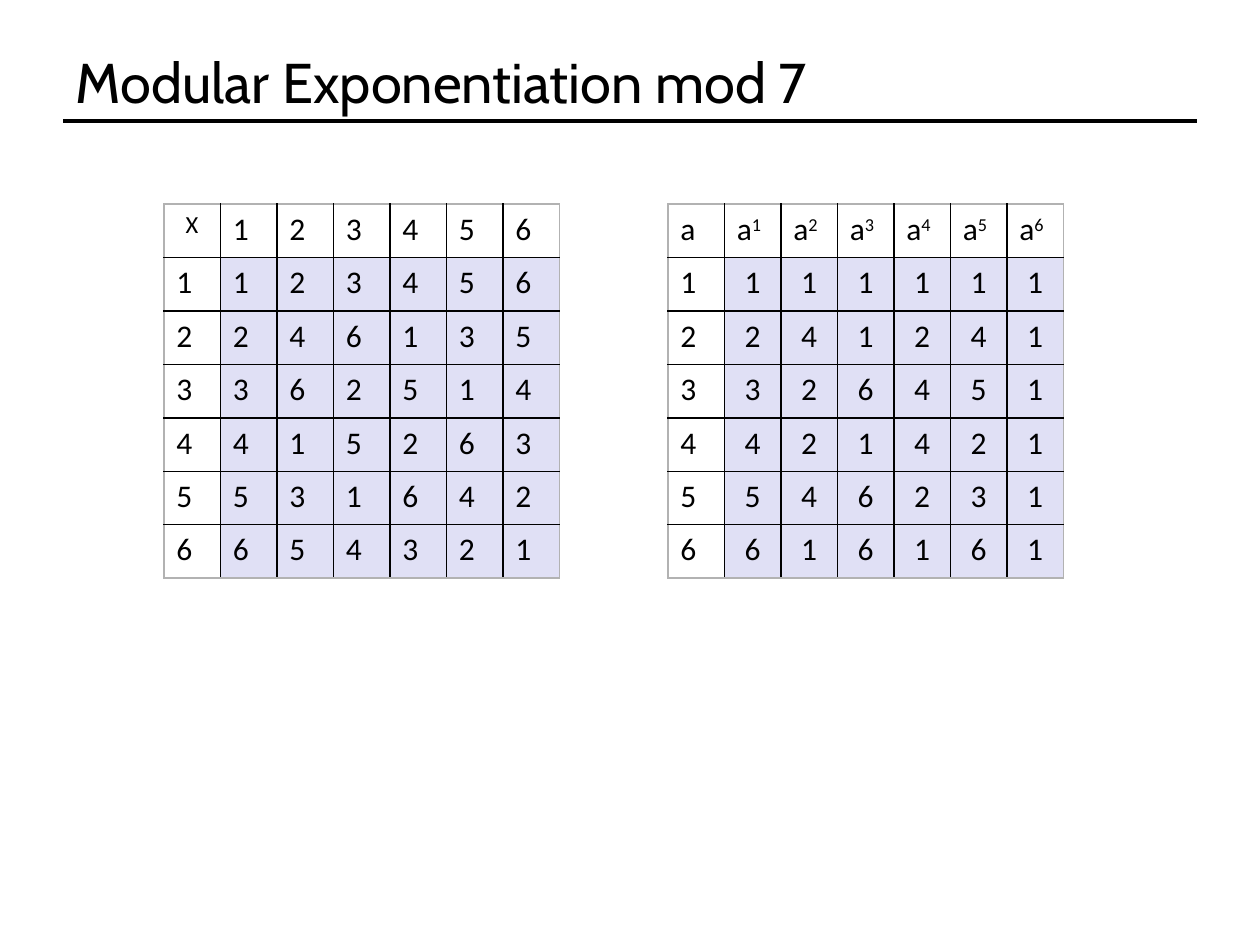
import pptx
import pptx.dml.color
import pptx.enum.shapes
import pptx.enum.text
import pptx.oxml.ns
import pptx.util
from lxml import etree

Inches = pptx.util.Inches
Pt = pptx.util.Pt
ALIGN = pptx.enum.text.PP_ALIGN
BLACK, GRAY, LILAC = "000000", "B2B2B2", "E0E0F5"
MOD = 7


def color(text):
    """Turn a hex string into a colour."""
    return pptx.dml.color.RGBColor.from_string(text)


def style(run, size, face):
    """Set the font of a run."""
    run.font.size = Pt(size)
    run.font.name = face
    run.font.color.rgb = color(BLACK)


def add_title(slide, text):
    """Fill and place the title."""
    title = slide.shapes.title
    title.left, title.top = Inches(0.5), Inches(0.3)
    title.width, title.height = Inches(9), Inches(0.66)
    frame = title.text_frame
    frame.text = text
    frame.vertical_anchor = pptx.enum.text.MSO_ANCHOR.BOTTOM
    frame.auto_size = pptx.enum.text.MSO_AUTO_SIZE.NONE
    frame.paragraphs[0].alignment = ALIGN.LEFT
    style(frame.paragraphs[0].runs[0], 32, "Cabin")


def add_rule(slide):
    """Draw the line under the title."""
    rule = slide.shapes.add_connector(
        pptx.enum.shapes.MSO_CONNECTOR.STRAIGHT,
        Inches(0.5), Inches(0.96), Inches(9.5), Inches(0.96))
    rule.line.color.rgb = color(BLACK)
    rule.line.width = Pt(2)
    etree.SubElement(rule._element.spPr, pptx.oxml.ns.qn("a:effectLst"))


def add_edges(cell, row, col):
    """Border a cell, gray on the outside of the table."""
    qn = pptx.oxml.ns.qn
    outer = {"L": col == 0, "R": col == MOD - 1,
             "T": row == 0, "B": row == MOD - 1}
    props = cell._tc.get_or_add_tcPr()
    for side, edge in outer.items():
        line = etree.SubElement(props, qn("a:ln" + side), w=str(Pt(1)))
        fill = etree.SubElement(line, qn("a:solidFill"))
        etree.SubElement(fill, qn("a:srgbClr"), val=GRAY if edge else BLACK)


def fill_cell(cell, text, power, size, align):
    """Write a cell, with an optional raised power."""
    para = cell.text_frame.paragraphs[0]
    para.text = text
    para.alignment = align
    if power:
        run = para.add_run()
        run.text = power
        run._r.get_or_add_rPr().set("baseline", "30000")
    for run in para.runs:
        style(run, size, "Calibri")


def add_grid(slide, left, head, rule, align):
    """Add a table of rule(row, col) under the given head cells."""
    table = slide.shapes.add_table(
        MOD, MOD, Inches(left), Inches(1.62), Inches(3.14), Inches(2.97)).table
    table.first_row = table.horz_banding = False
    for row in range(MOD):
        for col in range(MOD):
            cell = table.cell(row, col)
            add_edges(cell, row, col)
            if row and col:
                cell.fill.solid()
                cell.fill.fore_color.rgb = color(LILAC)
                fill_cell(cell, str(rule(row, col) % MOD), "", 18, align)
            else:
                cell.fill.background()
                if row:
                    fill_cell(cell, str(row), "", 18, ALIGN.LEFT)
                else:
                    fill_cell(cell, *head[col])


def main():
    """Build the slide."""
    deck = pptx.Presentation()
    deck.slide_width, deck.slide_height = Inches(10), Inches(7.5)
    slide = deck.slides.add_slide(deck.slide_layouts[5])
    add_rule(slide)
    add_title(slide, "Modular Exponentiation mod 7")
    left = ALIGN.LEFT
    times = [("X", "", 14, ALIGN.CENTER)]
    times += [(str(n), "", 18, left) for n in range(1, MOD)]
    powers = [("a", str(n) if n else "", 18, left) for n in range(MOD)]
    add_grid(slide, 1.3, times, lambda a, b: a * b, left)
    add_grid(slide, 5.3, powers, lambda a, b: a ** b, ALIGN.CENTER)
    deck.save("out.pptx")


if __name__ == "__main__":
    main()
